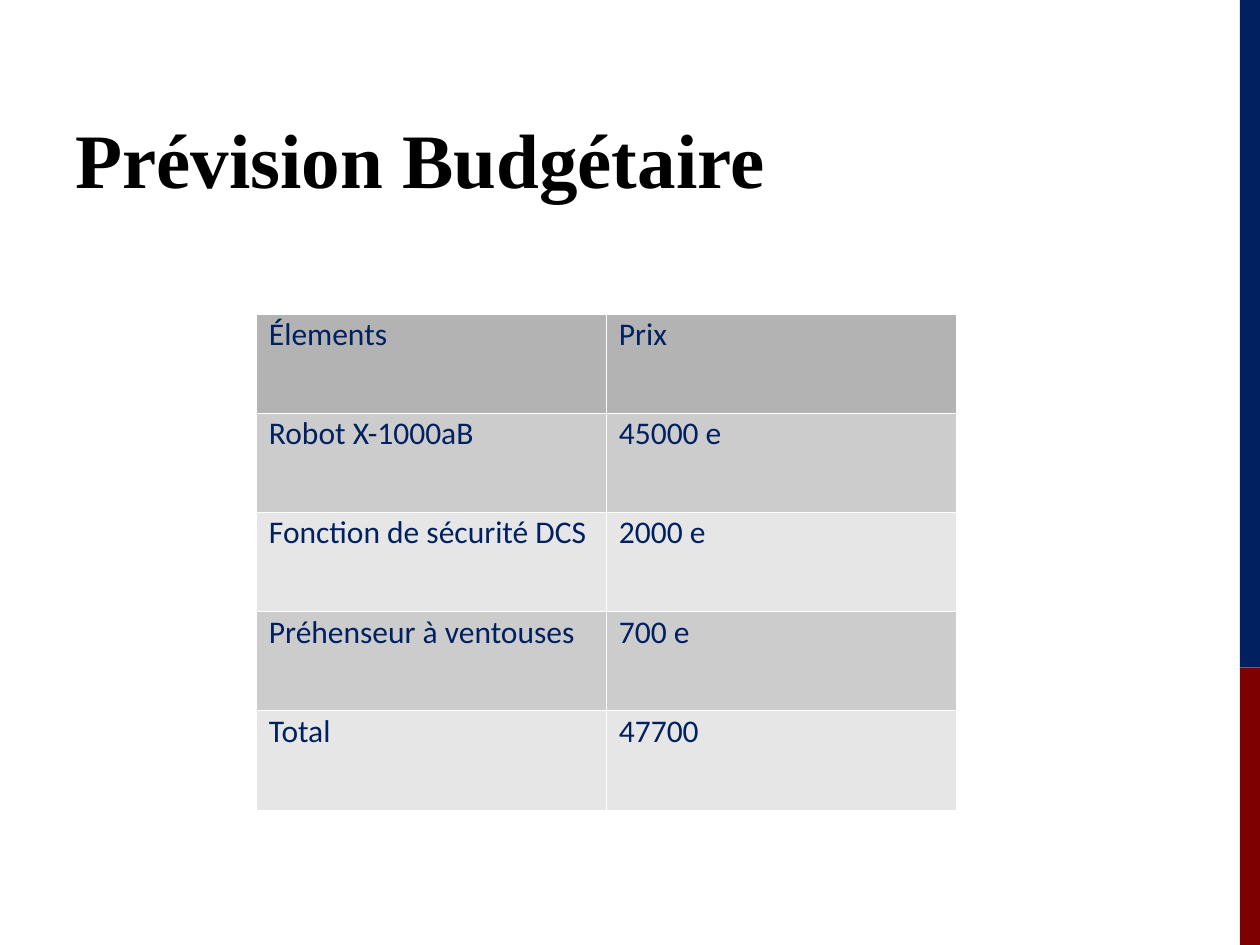
from lxml.etree import SubElement
from pptx import Presentation
from pptx.dml.color import RGBColor
from pptx.enum.shapes import MSO_SHAPE
from pptx.enum.text import MSO_ANCHOR, PP_ALIGN
from pptx.oxml.ns import qn
from pptx.util import Pt

BLACK = RGBColor(0x00, 0x00, 0x00)
NAVY = RGBColor(0x00, 0x20, 0x60)
DARK_RED = RGBColor(0x7E, 0x00, 0x00)
HEADER_GREY = RGBColor(0xB3, 0xB3, 0xB3)
BAND_GREYS = [RGBColor(0xCC, 0xCC, 0xCC), RGBColor(0xE6, 0xE6, 0xE6)]

BUDGET = [
    ("Élements", "Prix"),
    ("Robot X-1000aB", "45000 e"),
    ("Fonction de sécurité DCS", "2000 e"),
    ("Préhenseur à ventouses", "700 e"),
    ("Total", "47700"),
]
COLUMN_WIDTH = 200
ROW_HEIGHT = 56.7


def add_white_borders(cell):
    """Draw a thin white line on all four sides of a table cell."""
    properties = cell._tc.get_or_add_tcPr()
    for position, side in enumerate(("a:lnL", "a:lnR", "a:lnT", "a:lnB")):
        line = SubElement(properties, qn(side), w=str(Pt(0.06)))
        fill = SubElement(line, qn("a:solidFill"))
        SubElement(fill, qn("a:srgbClr"), val="FFFFFF")
        properties.insert(position, line)


presentation = Presentation()
presentation.slide_width = Pt(720)
presentation.slide_height = Pt(540)
slide = presentation.slides.add_slide(presentation.slide_layouts[5])

# Side bar
for top, height, color in [(0, 381.6, NAVY), (381.6, 158.4, DARK_RED)]:
    bar = slide.shapes.add_shape(
        MSO_SHAPE.RECTANGLE, Pt(708.5), Pt(top), Pt(11.5), Pt(height))
    bar.shadow.inherit = False
    bar.fill.solid()
    bar.fill.fore_color.rgb = color
    bar.line.fill.background()

# Title
title = slide.shapes.title
title.left, title.top, title.width, title.height = Pt(36), Pt(12), Pt(456), Pt(108)
title.text_frame.text = "Prévision Budgétaire"
title.text_frame.vertical_anchor = MSO_ANCHOR.BOTTOM
paragraph = title.text_frame.paragraphs[0]
paragraph.alignment = PP_ALIGN.LEFT
paragraph.font.name = "Times New Roman"
paragraph.font.size = Pt(44)
paragraph.font.bold = True
paragraph.font.color.rgb = BLACK

# Budget table
table = slide.shapes.add_table(
    len(BUDGET), 2, Pt(146.5), Pt(179.2),
    Pt(2 * COLUMN_WIDTH), Pt(len(BUDGET) * ROW_HEIGHT)).table
for column in table.columns:
    column.width = Pt(COLUMN_WIDTH)
for row_index, texts in enumerate(BUDGET):
    table.rows[row_index].height = Pt(ROW_HEIGHT)
    for column_index, text in enumerate(texts):
        cell = table.cell(row_index, column_index)
        cell.text = text
        cell.fill.solid()
        cell.fill.fore_color.rgb = (
            BAND_GREYS[(row_index - 1) % 2] if row_index else HEADER_GREY)
        add_white_borders(cell)
        paragraph = cell.text_frame.paragraphs[0]
        paragraph.line_spacing = 0.83
        paragraph.font.name = "Calibri"
        paragraph.font.size = Pt(18)
        paragraph.font.bold = False
        paragraph.font.color.rgb = NAVY

presentation.save("out.pptx")
